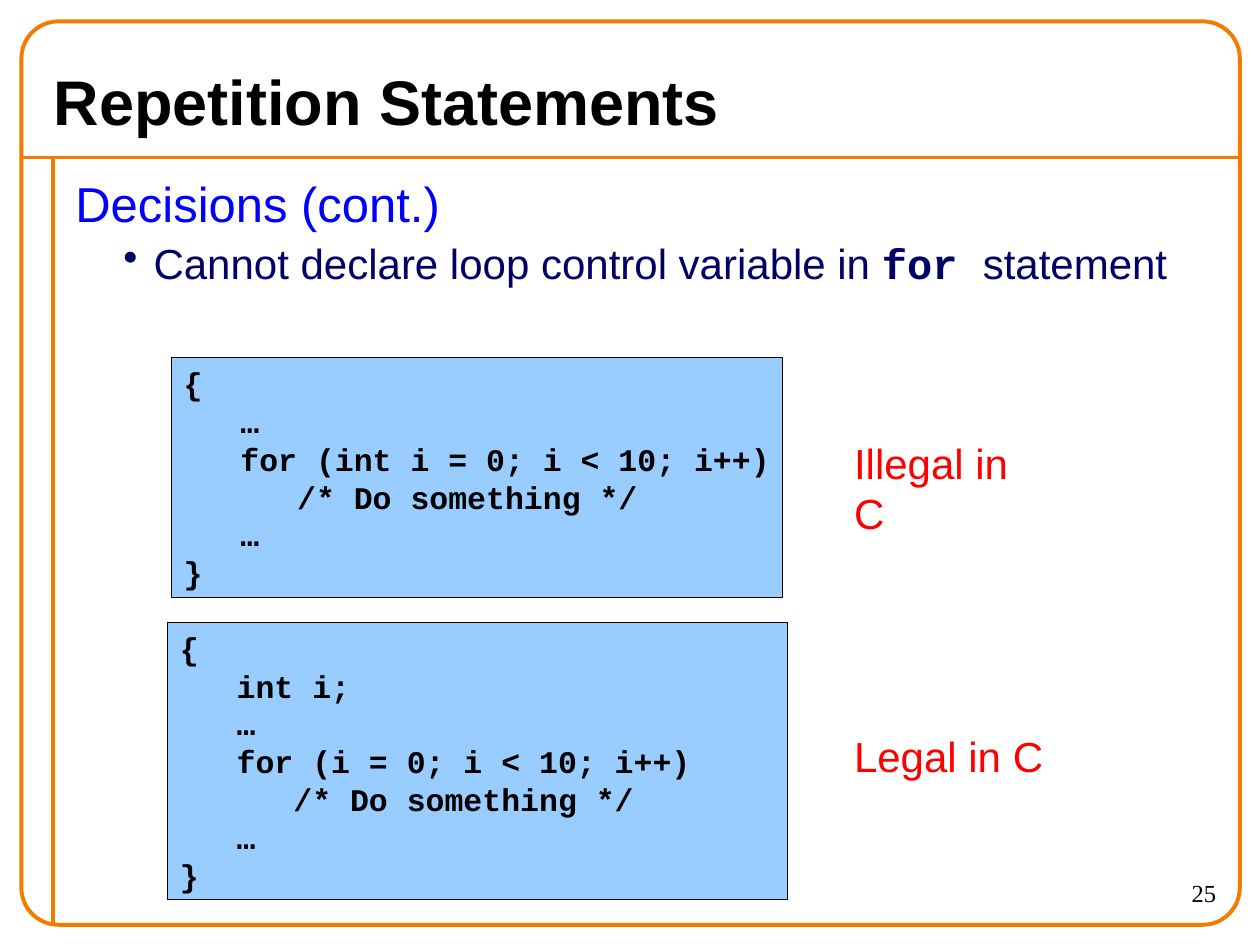
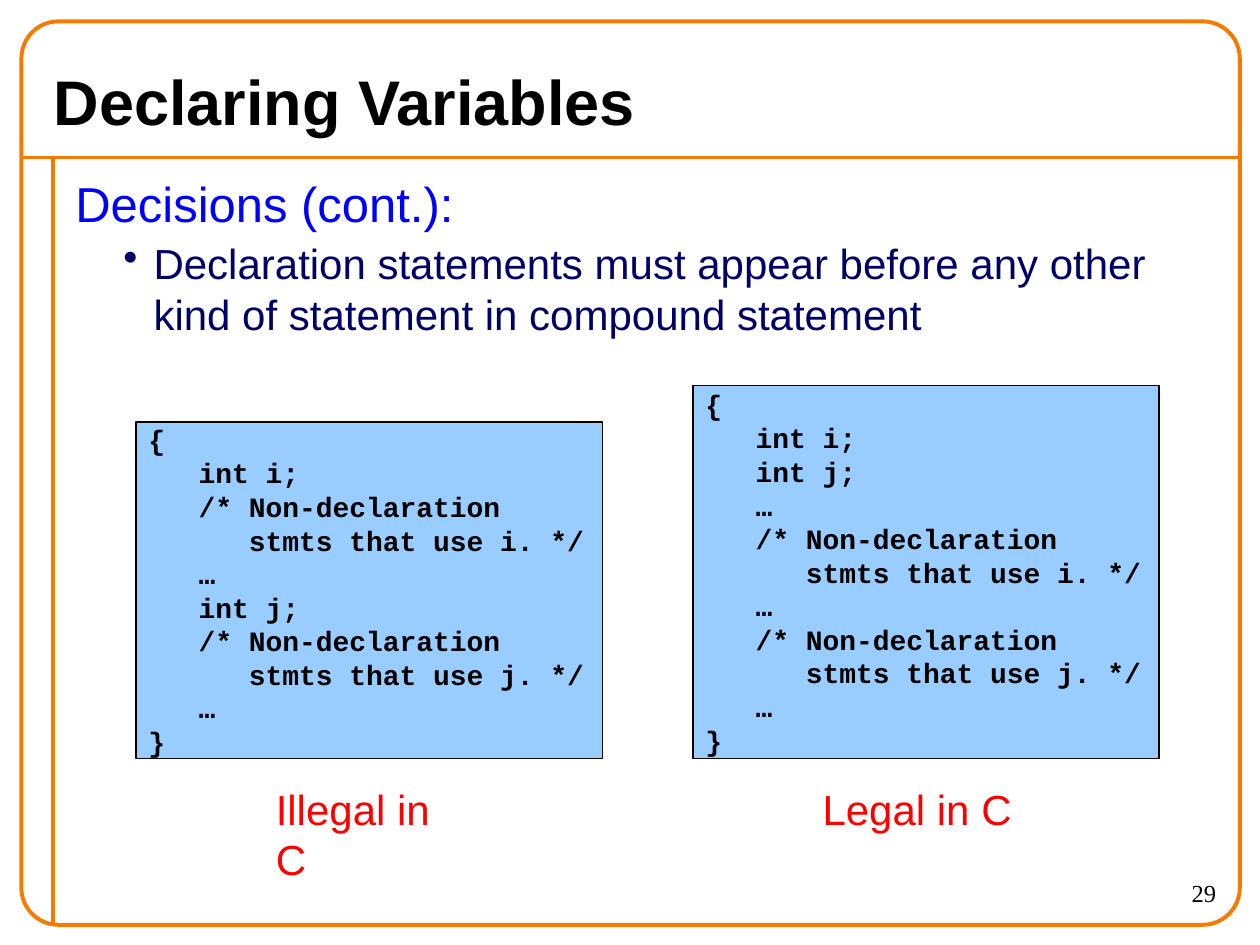
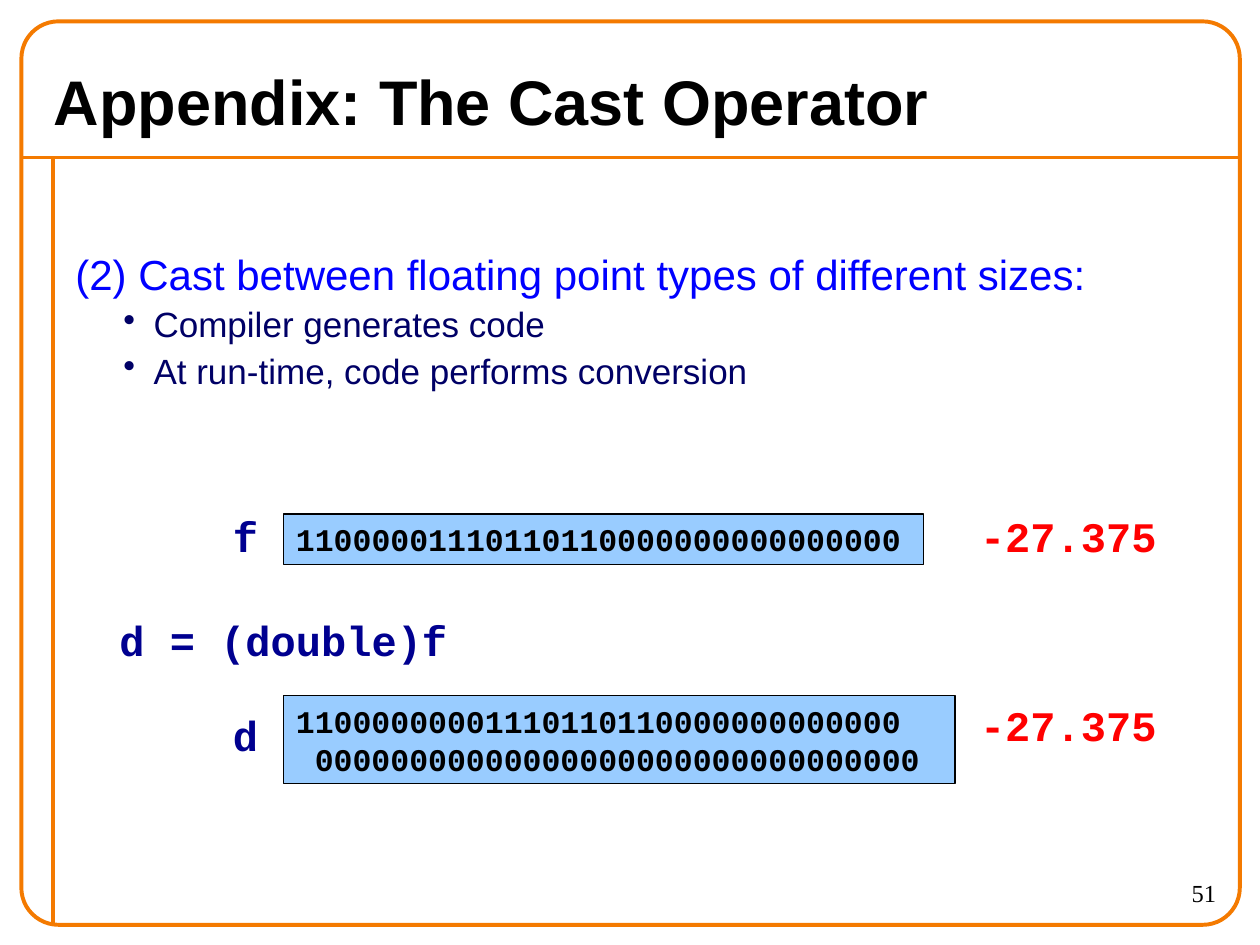
from lxml import etree
from pptx import Presentation
from pptx.dml.color import RGBColor
from pptx.enum.shapes import MSO_CONNECTOR as Connector, MSO_SHAPE as Preset
from pptx.enum.text import MSO_ANCHOR as Anchor, PP_ALIGN as Align
from pptx.oxml.ns import qn
from pptx.util import Inches, Pt

ORANGE, BLACK, RED = "F47A00", "000000", "FF0000"
BLUE, NAVY, INDIGO, SKY = "0000FF", "000066", "000090", "99CCFF"
SANS, MONO, SERIF = "Arial", "Courier New", "Times New Roman"


def rgb(value):
    return RGBColor.from_string(value)


def set_font(font, size, color, name=SANS, bold=False):
    font.size, font.name, font.bold = Pt(size), name, bold
    font.color.rgb = rgb(color)


def set_indent(para, left, first=0):
    props = para._p.get_or_add_pPr()
    props.set("marL", str(Inches(left)))
    props.set("indent", str(Inches(first)))
    return props


def set_line(line, color, width):
    line.color.rgb = rgb(color)
    line.width = Pt(width)


def add_text(page, place, text, size, color, name=SANS, bold=False,
             align=Align.LEFT, anchor=Anchor.TOP, wrap=True):
    box = page.shapes.add_textbox(*map(Inches, place))
    frame = box.text_frame
    frame.word_wrap, frame.vertical_anchor = wrap, anchor
    para = frame.paragraphs[0]
    para.text, para.alignment = text, align
    set_font(para.font, size, color, name, bold)
    return frame


def add_label(page, place, text, color=RED, name=SANS, bold=False):
    add_text(page, place, text, 24, color, name, bold, wrap=False)


def add_panel(page, place, lines, size=18, pad=0.05, border=0.75):
    """Light blue box with fixed-width lines."""
    panel = page.shapes.add_shape(Preset.RECTANGLE, *map(Inches, place))
    panel.shadow.inherit = False
    panel.fill.solid()
    panel.fill.fore_color.rgb = rgb(SKY)
    set_line(panel.line, BLACK, border)
    frame = panel.text_frame
    frame.word_wrap, frame.vertical_anchor = True, Anchor.MIDDLE
    frame.margin_top = frame.margin_bottom = Inches(pad)
    frame.margin_right = 0
    for index, line in enumerate(lines):
        para = frame.add_paragraph() if index else frame.paragraphs[0]
        para.text, para.alignment = line, Align.LEFT
        set_font(para.font, size, BLACK, MONO, True)
    return frame


def add_rule(page, *ends):
    rule = page.shapes.add_connector(Connector.STRAIGHT, *map(Inches, ends))
    set_line(rule.line, ORANGE, 2.25)
    etree.SubElement(rule._element.spPr, qn("a:effectLst"))


def add_page(deck, title, number):
    """Frame, title and page number shared by all slides."""
    page = deck.slides.add_slide(deck.slide_layouts[6])
    add_rule(page, 0.17, 1.25, 9.83, 1.25)
    add_rule(page, 0.42, 1.25, 0.42, 7.33)
    border = page.shapes.add_shape(Preset.ROUNDED_RECTANGLE,
                                   *map(Inches, (0.17, 0.17, 9.67, 7.17)))
    border.adjustments[0] = 0.041
    border.shadow.inherit = False
    border.fill.background()
    set_line(border.line, ORANGE, 2.25)
    add_text(page, (0.33, 0.42, 9.33, 0.75), title, 36, BLACK, bold=True,
             anchor=Anchor.MIDDLE)
    add_text(page, (8.75, 6.92, 1, 0.42), str(number), 14, BLACK, SERIF,
             align=Align.RIGHT)
    return page


def add_body(page, heading, bullets, top=1.33, size=28):
    """Heading with bullets; each bullet is a list of (text, is_code)."""
    frame = add_text(page, (0.5, top, 9.25, 7.33 - top), heading, size, BLUE)
    for spans in bullets:
        para = frame.add_paragraph()
        props = set_indent(para, 0.62, -0.24)
        para.space_before = Pt((size - 4) / 8)
        color = etree.SubElement(props, qn("a:buClr"))
        etree.SubElement(color, qn("a:srgbClr"), val=NAVY)
        etree.SubElement(props, qn("a:buChar"), char="•")
        set_font(para.font, size - 4, NAVY)
        for text, is_code in spans:
            span = para.add_run()
            span.text = text
            set_font(span.font, size - 4, NAVY, MONO if is_code else SANS, is_code)


def repetition_slide(deck):
    page = add_page(deck, "Repetition Statements", 25)
    add_body(page, "Decisions (cont.)", [[
        ("Cannot declare loop control variable in ", False),
        ("for ", True), ("statement", False)]])
    loop_end = ["      /* Do something */", "   …", "}"]
    add_panel(page, (1.36, 2.84, 4.85, 1.9),
              ["{", "   …", "   for (int i = 0; i < 10; i++)"] + loop_end)
    add_panel(page, (1.33, 4.94, 4.92, 2.2),
              ["{", "   int i;", "   …", "   for (i = 0; i < 10; i++)"] + loop_end)
    add_label(page, (6.68, 3.42, 1.75, 0.5), "Illegal in C")
    add_label(page, (6.68, 5.75, 1.7, 0.5), "Legal in C")


def declaring_slide(deck):
    page = add_page(deck, "Declaring Variables", 29)
    add_body(page, "Decisions (cont.):", [[
        ("Declaration statements must appear before any other "
         "kind of statement in compound statement", False)]])

    def use(name):
        return ["   /* Non-declaration", f"      stmts that use {name}. */", "   …"]

    declare_i, declare_j = "   int i;", "   int j;"
    add_panel(page, (1.08, 3.35, 3.7, 2.67),
              ["{", declare_i, *use("i"), declare_j, *use("j"), "}"], 16, 0)
    add_panel(page, (5.5, 3.06, 3.7, 2.96),
              ["{", declare_i, declare_j, "   …", *use("i"), *use("j"), "}"], 16, 0)
    add_label(page, (2.09, 6.17, 1.75, 0.5), "Illegal in C")
    add_label(page, (6.43, 6.17, 1.7, 0.5), "Legal in C")


def cast_slide(deck):
    page = add_page(deck, "Appendix: The Cast Operator", 51)
    add_body(page, "(2) Cast between floating point types of different sizes:",
             [[("Compiler generates code", False)],
              [("At run-time, code performs conversion", False)]],
             top=1.92, size=24)
    # Bit patterns
    add_panel(page, (2.25, 4.08, 5.08, 0.4),
              ["11000001110110110000000000000000"], border=1)
    double_bits = add_panel(page, (2.25, 5.52, 5.33, 0.7),
                            ["11000000001110110110000000000000", "0" * 32], border=1)
    set_indent(double_bits.paragraphs[1], 0.15)
    # Variable names, values and the cast
    for name, name_top, value_top in (("f", 4, 4), ("d", 5.58, 5.5)):
        add_label(page, (1.75, name_top, 0.4, 0.5), name, INDIGO, MONO, True)
        add_label(page, (7.68, value_top, 1.6, 0.5), "-27.375", RED, MONO, True)
    add_label(page, (0.85, 4.83, 2.8, 0.5), "d = (double)f", INDIGO, MONO, True)


def main():
    deck = Presentation()
    deck.slide_width, deck.slide_height = Inches(10), Inches(7.5)
    repetition_slide(deck)
    declaring_slide(deck)
    cast_slide(deck)
    deck.save("out.pptx")


if __name__ == "__main__":
    main()
